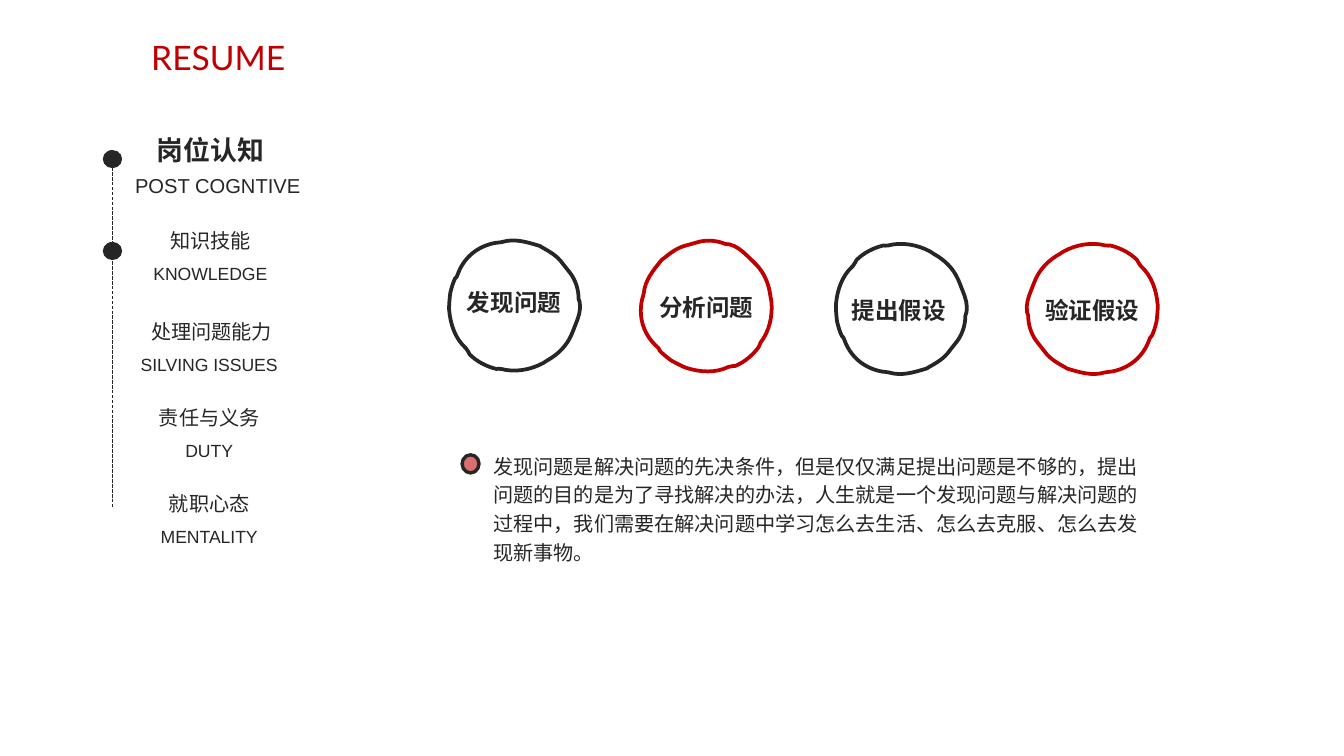
"""Build a resume slide with a section timeline and four hand-drawn problem-solving rings."""
from lxml.etree import SubElement
from pptx import Presentation
from pptx.dml.color import RGBColor
from pptx.enum.dml import MSO_LINE
from pptx.enum.shapes import MSO_CONNECTOR, MSO_SHAPE
from pptx.enum.text import MSO_ANCHOR as Anchor, MSO_AUTO_SIZE as AutoSize, PP_ALIGN as Align
from pptx.oxml.ns import qn
from pptx.util import Inches, Pt

COLORS = {"ink": "262626", "red": "C00000"}
CJK_FONT = "Noto Sans CJK SC"

presentation = Presentation()
presentation.slide_width, presentation.slide_height = Inches(11.11), Inches(6.25)
slide = presentation.slides.add_slide(presentation.slide_layouts[6])


def add_text(text, left, top, width, height, size, font="Arial", color="ink",
             bold=False, align=Align.CENTER, anchor=Anchor.MIDDLE):
    box = slide.shapes.add_textbox(Inches(left), Inches(top), Inches(width), Inches(height))
    box.text_frame.word_wrap = True
    box.text_frame.vertical_anchor = anchor
    if anchor == Anchor.TOP:
        box.text_frame.auto_size = AutoSize.SHAPE_TO_FIT_TEXT
    paragraph = box.text_frame.paragraphs[0]
    paragraph.text = text
    paragraph.alignment = align
    paragraph.font.name = font
    paragraph.font.size = Pt(size)
    paragraph.font.bold = bold
    paragraph.font.color.rgb = RGBColor.from_string(COLORS[color])
    defaults = paragraph._p.pPr.find(qn("a:defRPr"))
    SubElement(defaults, qn("a:ea"), typeface=CJK_FONT)
    return paragraph


def add_dot(left, top, width, color):
    dot = slide.shapes.add_shape(
        MSO_SHAPE.OVAL, Inches(left), Inches(top), Inches(width), Inches(0.15))
    dot.shadow.inherit = False
    dot.fill.solid()
    dot.fill.fore_color.rgb = RGBColor.from_string(COLORS[color])
    dot.line.fill.background()
    return dot


add_text("RESUME", -0.43, 0.26, 4.47, 0.44, 20, "Lato", "red", anchor=Anchor.TOP)

timeline = slide.shapes.add_connector(
    MSO_CONNECTOR.STRAIGHT, Inches(0.93), Inches(1.38), Inches(0.93), Inches(4.19))
timeline.line.color.rgb = RGBColor.from_string(COLORS["ink"])
timeline.line.width = Pt(0.75)
timeline.line.dash_style = MSO_LINE.SQUARE_DOT
SubElement(timeline._element.spPr, qn("a:effectLst"))
for dot_top in (1.24, 2):
    add_dot(0.85, dot_top, 0.16, "ink")

add_text("岗位认知", 1.14, 1.05, 1.2, 0.38, 16, bold=True)
add_text("POST COGNTIVE", 0.64, 1.24, 2.32, 0.59, 12)
sections = [
    ("知识技能", 1.08, 1.32, "KNOWLEDGE", 0.76, 1.8),
    ("处理问题能力", 0.93, 1.64, "SILVING ISSUES", 0.75, 2.55),
    ("责任与义务", 1.07, 1.32, "DUTY", 0.75, 3.26),
    ("就职心态", 1.07, 1.32, "MENTALITY", 0.75, 3.97),
]
for chinese, chinese_left, chinese_width, english, english_left, top in sections:
    add_text(chinese, chinese_left, top, chinese_width, 0.38, 12)
    add_text(english, english_left, top + 0.3, 1.96, 0.33, 10.5)

# Bezier arcs of the ring, in hundredths of an inch from its top left corner
RING_ARCS = [
    ((1, 66), (2, 70), (3, 74), (5, 78)),
    ((7, 81), (12, 95), (23, 104), (37, 107)),
    ((44, 108), (54, 111), (64, 108), (74, 105)),
    ((76, 104), (83, 100), (89, 97), (94, 90)),
    ((101, 81), (105, 75), (107, 68), (107, 61)),
    ((108, 58), (109, 52), (107, 46), (105, 41)),
    ((101, 31), (97, 22), (90, 15), (81, 10)),
    ((78, 8), (67, 2), (54, 0), (43, 3)),
    ((39, 3), (31, 5), (23, 9), (17, 15)),
    ((14, 20), (5, 28), (1, 40), (0, 52)),
]
ring_points = [RING_ARCS[0][0]]
for arc, following in zip(RING_ARCS, RING_ARCS[1:] + RING_ARCS[:1]):
    leave = [end + (end - control) / 4 for end, control in zip(arc[3], arc[2])]
    arrive = [start + (start - control) / 4 for start, control in zip(following[0], following[1])]
    ring_points += [*arc[1:], leave, arrive, following[0]]

rings = [
    ("发现问题", "ink", 3.71, 1.97, True, 180, 3.58, 2.33),
    ("分析问题", "red", 5.3, 1.97, True, 112.4, 5.17, 2.37),
    ("提出假设", "ink", 6.91, 2, False, 0, 6.76, 2.4),
    ("验证假设", "red", 8.48, 2, True, 0, 8.36, 2.4),
]
for label, color, left, top, mirrored, angle, label_left, label_top in rings:
    outline = [(Inches(left + (109 - x if mirrored else x) / 100), Inches(top + y / 100))
               for x, y in ring_points]
    builder = slide.shapes.build_freeform(*outline[0])
    builder.add_line_segments(outline[1:], close=True)
    ring = builder.convert_to_shape()
    segments = list(ring._element.iter(qn("a:lnTo")))
    for first in range(0, len(segments), 3):
        curve = SubElement(segments[first].getparent(), qn("a:cubicBezTo"))
        segments[first].addprevious(curve)
        for segment in segments[first:first + 3]:
            curve.append(segment[0])
            segment.getparent().remove(segment)
    ring.rotation = angle
    ring.shadow.inherit = False
    ring.fill.background()
    ring.line.color.rgb = RGBColor.from_string(COLORS[color])
    ring.line.width = Pt(2.25)
    add_text(label, label_left, label_top, 1.34, 0.34, 14, CJK_FONT,
             bold=True, anchor=Anchor.TOP)

bullet = add_dot(3.82, 3.76, 0.14, "red")
bullet.line.color.rgb = RGBColor.from_string(COLORS["ink"])
bullet.line.width = Pt(2)
bullet_color = bullet._element.spPr.find(qn("a:solidFill")).find(qn("a:srgbClr"))
SubElement(bullet_color, qn("a:alpha"), val="57000")

summary = add_text(
    "发现问题是解决问题的先决条件，但是仅仅满足提出问题是不够的，提出问题的目的是为了寻找解决的办法，"
    "人生就是一个发现问题与解决问题的过程中，我们需要在解决问题中学习怎么去生活、怎么去克服、怎么去发现新事物。",
    3.98, 3.67, 5.56, 1.05, 12, CJK_FONT, align=Align.LEFT, anchor=Anchor.TOP)
summary.line_spacing = Pt(17)

presentation.save("out.pptx")
